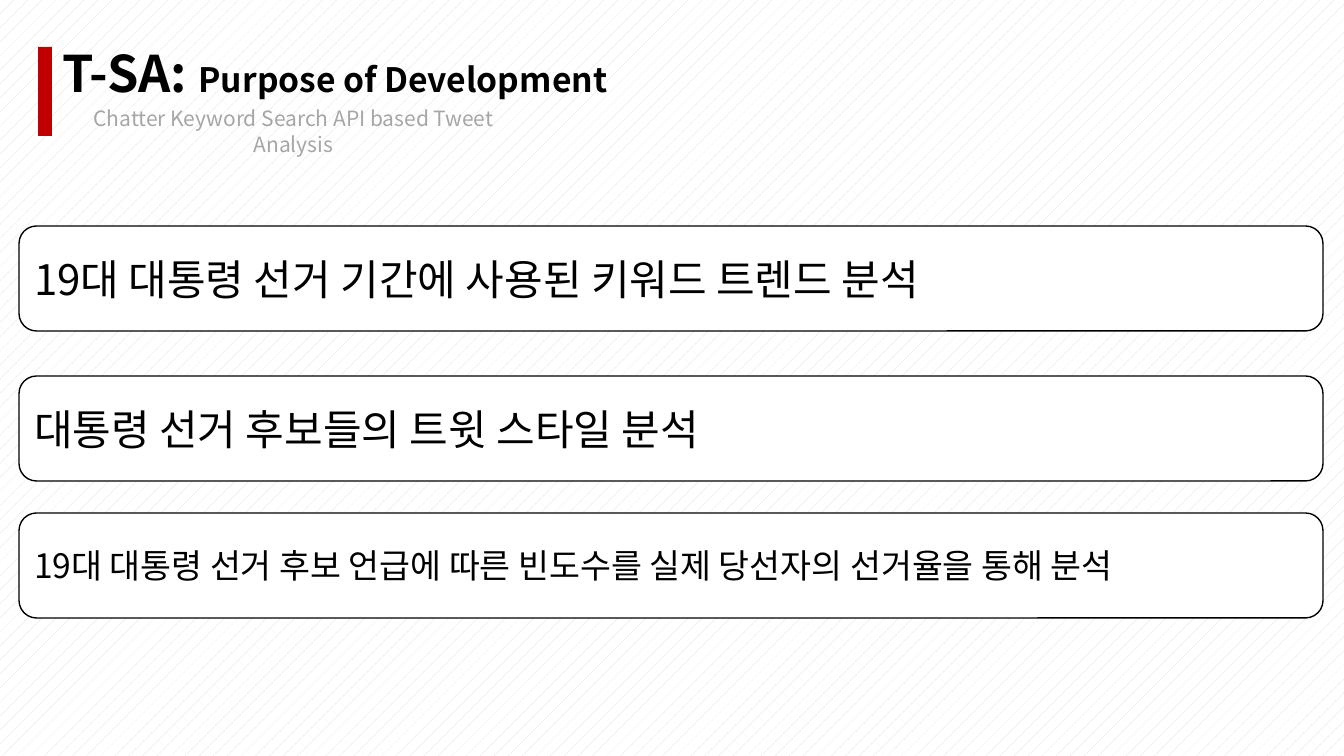
import pptx
import pptx.util
import pptx.dml.color
import pptx.enum.dml
import pptx.enum.shapes
import pptx.enum.text
import pptx.oxml
import pptx.oxml.ns

RGB = pptx.dml.color.RGBColor
BLACK = RGB(0x00, 0x00, 0x00)
WHITE = RGB(0xFF, 0xFF, 0xFF)
RED = RGB(0xC0, 0x00, 0x00)
GRAY = RGB(0xA6, 0xA6, 0xA6)
BLUSH = RGB(0xE3, 0xD9, 0xD7)
FONT = "Noto Sans CJK KR"
SCALE = 914400 / 100.8

GOALS = [
    (226, "19대 대통령 선거 기간에 사용된 키워드 트렌드 분석", 30),
    (376, "대통령 선거 후보들의 트윗 스타일 분석", 30),
    (513, "19대 대통령 선거 후보 언급에 따른 빈도수를 실제 당선자의 선거율을 통해 분석", 24),
]


def px(count):
    return pptx.util.Emu(round(count * SCALE))


def add_run(para, text, size, color=BLACK, bold=False):
    run = para.add_run()
    run.text = text
    font = run.font
    font.name = FONT
    font.size = pptx.util.Pt(size)
    font.bold = bold
    font.color.rgb = color
    asian = pptx.oxml.parse_xml(
        f'<a:ea {pptx.oxml.ns.nsdecls("a")} typeface="{FONT}"/>')
    run._r.rPr.find(pptx.oxml.ns.qn("a:latin")).addnext(asian)


def paint(slide):
    fill = slide.background.fill
    fill.patterned()
    fill.pattern = pptx.enum.dml.MSO_PATTERN.PERCENT_5
    fill.fore_color.rgb = BLUSH
    fill.back_color.rgb = WHITE


def add_box(slide, kind, area, color):
    box = slide.shapes.add_shape(kind, *map(px, area))
    box.shadow.inherit = False
    box.fill.solid()
    box.fill.fore_color.rgb = color
    box.line.fill.background()
    return box


def set_title(slide):
    title = slide.shapes.title
    title.left, title.top, title.width, title.height = map(px, (52, 37, 775, 119))
    frame = title.text_frame
    frame.auto_size = pptx.enum.text.MSO_AUTO_SIZE.NONE
    frame.vertical_anchor = pptx.enum.text.MSO_ANCHOR.TOP
    para = frame.paragraphs[0]
    para.alignment = pptx.enum.text.PP_ALIGN.LEFT
    add_run(para, "T-SA: ", 36, bold=True)
    add_run(para, "Purpose of Development", 24, bold=True)


def add_note(slide):
    note = slide.shapes.add_textbox(*map(px, (52, 101, 483, 35)))
    frame = note.text_frame
    frame.word_wrap = True
    para = frame.paragraphs[0]
    para.alignment = pptx.enum.text.PP_ALIGN.CENTER
    add_run(para, "Chatter Keyword Search API based Tweet Analysis", 15, GRAY)


def add_goal(slide, top, text, size):
    kind = pptx.enum.shapes.MSO_SHAPE.ROUNDED_RECTANGLE
    box = add_box(slide, kind, (19, top, 1304, 105), WHITE)
    box.line.color.rgb = BLACK
    box.line.width = pptx.util.Pt(1)
    frame = box.text_frame
    frame.word_wrap = True
    frame.vertical_anchor = pptx.enum.text.MSO_ANCHOR.MIDDLE
    para = frame.paragraphs[0]
    para.alignment = pptx.enum.text.PP_ALIGN.LEFT
    add_run(para, text, size)


def main():
    deck = pptx.Presentation()
    deck.slide_width, deck.slide_height = px(1344), px(756)
    slide = deck.slides.add_slide(deck.slide_layouts.get_by_name("Title Only"))
    paint(slide)
    add_box(slide, pptx.enum.shapes.MSO_SHAPE.RECTANGLE, (38, 47, 14, 89), RED)
    set_title(slide)
    add_note(slide)
    for top, text, size in GOALS:
        add_goal(slide, top, text, size)
    deck.save("out.pptx")


if __name__ == "__main__":
    main()
